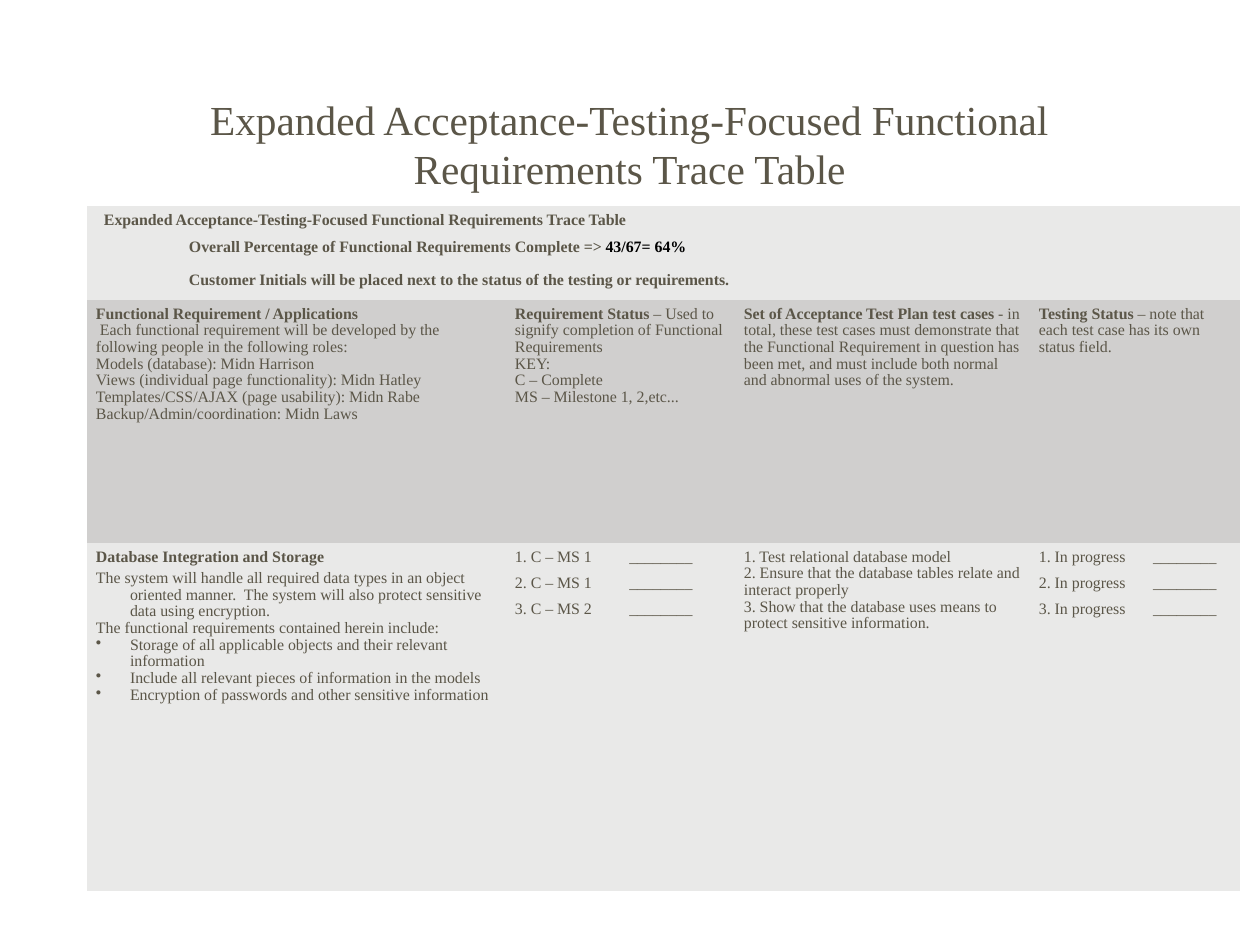
import pptx
import pptx.dml.color
import pptx.enum.text
import pptx.oxml.ns
import pptx.util
import lxml.etree

PX = 8000
INK = pptx.dml.color.RGBColor(0x5B, 0x56, 0x48)
BLACK = pptx.dml.color.RGBColor(0, 0, 0)
LIGHT = pptx.dml.color.RGBColor(0xE9, 0xE9, 0xE8)
GREY = pptx.dml.color.RGBColor(0xD0, 0xCF, 0xCE)
PLAIN_TABLE = "{2D5ABB26-0587-4C30-8999-92F81FD0307C}"


def px(length):
    return pptx.util.Emu(length * PX)


def add_xml(parent, tag, **attributes):
    return lxml.etree.SubElement(parent, pptx.oxml.ns.qn(tag), attributes)


def line(*runs, **layout):
    return runs, layout


class TraceSlide:
    font_name = "Times New Roman"

    def __init__(self, slide):
        self.slide = slide

    def paragraph(self, paragraph, runs, size=10, bold=False, left=0, hanging=0,
                  before=0, after=0, spacing=0.95, bullet=None, tab=None, align=None):
        properties = paragraph._p.get_or_add_pPr()
        properties.set("marL", str(px(left)))
        properties.set("indent", str(px(-hanging)))
        paragraph.alignment = align
        paragraph.line_spacing = spacing
        paragraph.space_before = pptx.util.Pt(before)
        paragraph.space_after = pptx.util.Pt(after)
        if bullet:
            add_xml(add_xml(properties, "a:buClr"), "a:srgbClr", val=str(INK))
            add_xml(properties, "a:buChar", char=bullet)
        else:
            add_xml(properties, "a:buNone")
        if tab:
            stops = add_xml(properties, "a:tabLst")
            add_xml(stops, "a:tab", pos=str(px(tab)), algn="l")
        paragraph.font.name = self.font_name
        paragraph.font.size = pptx.util.Pt(size)
        paragraph.font.color.rgb = INK
        paragraph.font.bold = bold
        for content in runs:
            text, changes = content if isinstance(content, tuple) else (content, {})
            run = paragraph.add_run()
            run.text = text
            if "bold" in changes:
                run.font.bold = changes["bold"]
            if "color" in changes:
                run.font.color.rgb = changes["color"]

    def fill_text(self, frame, lines):
        frame.word_wrap = True
        for index, (runs, layout) in enumerate(lines):
            paragraph = frame.add_paragraph() if index else frame.paragraphs[0]
            self.paragraph(paragraph, runs, **layout)

    def title(self, left, top, width, height, text):
        frame = self.slide.shapes.add_textbox(
            px(left), px(top), px(width), px(height)).text_frame
        frame.margin_left = frame.margin_right = px(5)
        frame.margin_top = frame.margin_bottom = px(5)
        frame.vertical_anchor = pptx.enum.text.MSO_ANCHOR.MIDDLE
        self.fill_text(frame, [line(text, size=26, spacing=1.0,
                                    align=pptx.enum.text.PP_ALIGN.CENTER)])

    def table(self, left, top, widths, heights, fills, rows):
        table = self.slide.shapes.add_table(
            len(heights), len(widths), px(left), px(top),
            px(sum(widths)), px(sum(heights))).table
        table.first_row = table.horz_banding = False
        table._tbl.tblPr.find(pptx.oxml.ns.qn("a:tableStyleId")).text = PLAIN_TABLE
        for column, width in zip(table.columns, widths):
            column.width = px(width)
        for row, height, fill in zip(table.rows, heights, fills):
            row.height = px(height)
            for cell in row.cells:
                cell.fill.solid()
                cell.fill.fore_color.rgb = fill
                cell.margin_left = cell.margin_right = px(9)
                cell.margin_top = cell.margin_bottom = px(6)
        for row_index, row in enumerate(rows):
            if len(row) == 1:
                table.cell(row_index, 0).merge(table.cell(row_index, len(widths) - 1))
            for column_index, lines in enumerate(row):
                self.fill_text(table.cell(row_index, column_index).text_frame, lines)


def strong(text):
    return text, {"bold": True}


def status_lines(labels, tab):
    return [line(f"{number}. {label}\t________", after=6, tab=tab)
            for number, label in enumerate(labels, 1)]


SUMMARY = [
    line("Expanded Acceptance-Testing-Focused Functional Requirements Trace Table",
         bold=True, left=8, after=6),
    line("Overall Percentage of Functional Requirements Complete => ",
         ("43/67= 64%", {"color": BLACK}), bold=True, left=93, spacing=1.0),
    line("Customer Initials will be placed next to the status of the testing or requirements.",
         bold=True, left=93, before=10.5),
]

HEADINGS = [
    [
        line("Functional Requirement / Applications", bold=True),
        line("Each functional requirement will be developed by the", left=4),
        line("following people in the following roles:"),
        line("Models (database): Midn Harrison"),
        line("Views (individual page functionality): Midn Hatley"),
        line("Templates/CSS/AJAX (page usability): Midn Rabe"),
        line("Backup/Admin/coordination: Midn Laws"),
    ],
    [
        line(strong("Requirement Status "),
             "– Used to signify completion of Functional Requirements"),
        line("KEY:"),
        line("C – Complete"),
        line("MS – Milestone 1, 2,etc..."),
    ],
    [line(strong("Set of Acceptance Test Plan test cases"),
          " - in total, these test cases must demonstrate that the Functional Requirement "
          "in question has been met, and must include both normal and abnormal uses of "
          "the system.")],
    [line(strong("Testing Status"),
          " – note that each test case has its own status field.")],
]

DATABASE = [
    [
        line("Database Integration and Storage", bold=True, after=3),
        line("The system will handle all required data types in an object oriented manner.  "
             "The system will also protect sensitive data using encryption.",
             left=34, hanging=34),
        line("The functional requirements contained herein include:", left=34, hanging=34),
    ] + [
        line(text, left=34, hanging=34, bullet="•") for text in (
            "Storage of all applicable objects and their relevant information",
            "Include all relevant pieces of information in the models",
            "Encryption of passwords and other sensitive information")
    ],
    status_lines(["C – MS 1", "C – MS 1", "C – MS 2"], 97),
    [
        line("1. Test relational database model"),
        line("2. Ensure that the database tables relate and interact properly"),
        line("3. Show that the database uses means to protect sensitive information."),
    ],
    status_lines(["In progress"] * 3, 99),
]


def main():
    presentation = pptx.Presentation()
    presentation.slide_width = px(1260)
    presentation.slide_height = px(945)
    trace = TraceSlide(presentation.slides.add_slide(presentation.slide_layouts[6]))
    trace.title(98, 54, 1064, 179,
                "Expanded Acceptance-Testing-Focused Functional Requirements Trace Table")
    trace.table(87, 206, [419, 229, 295, 210], [94, 243, 348],
                [LIGHT, GREY, LIGHT], [[SUMMARY], HEADINGS, DATABASE])
    presentation.save("out.pptx")


if __name__ == "__main__":
    main()
